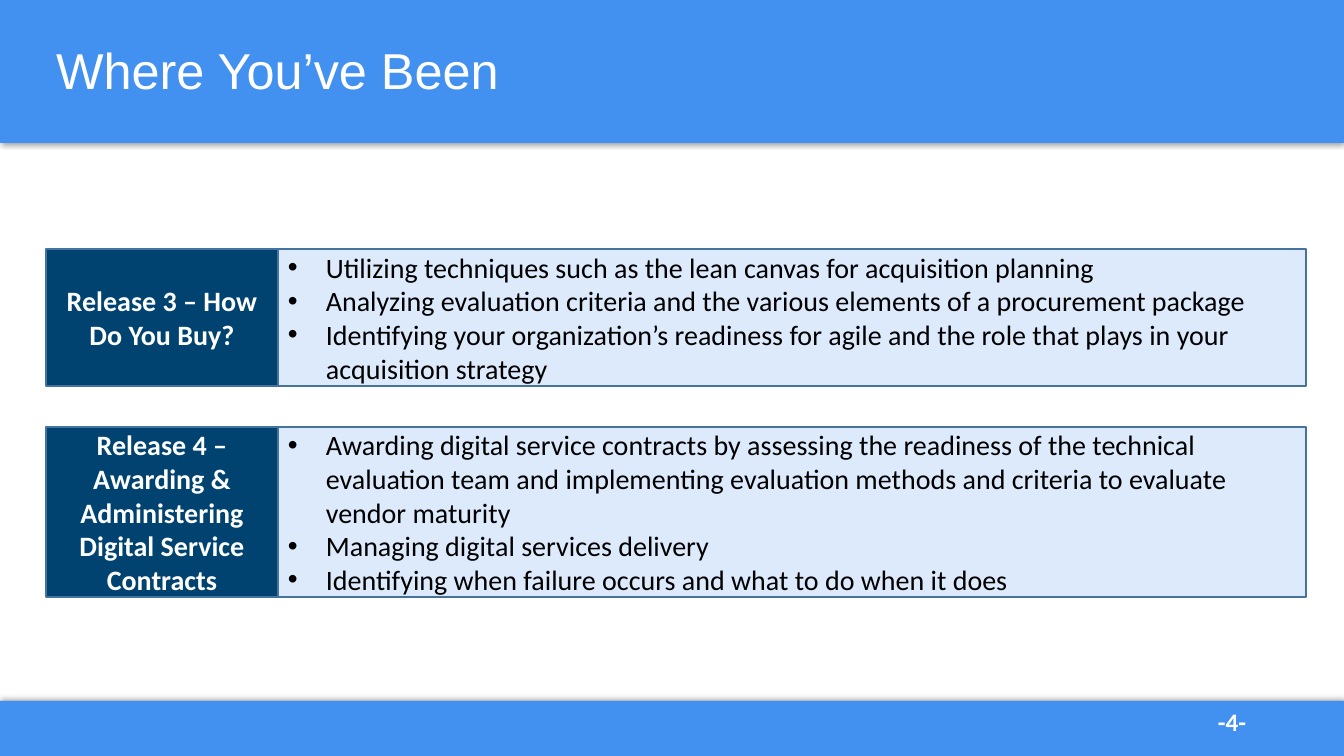
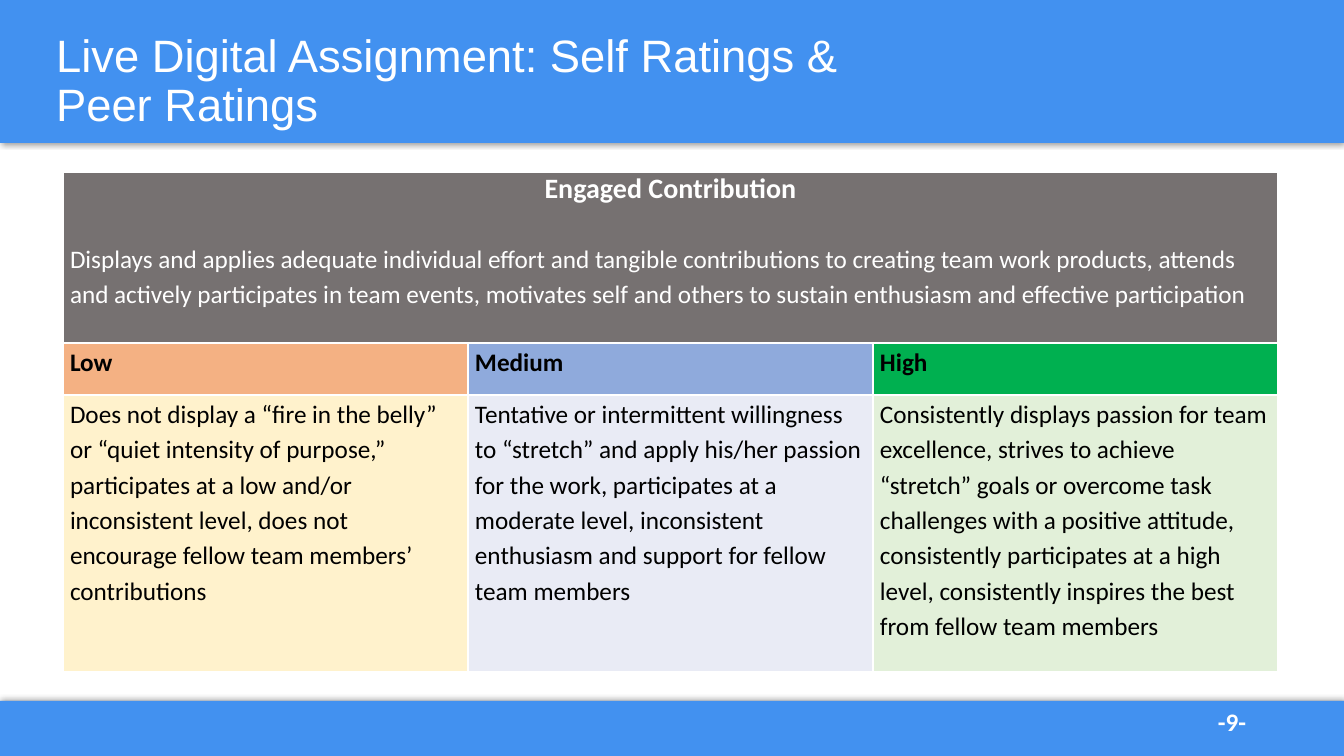
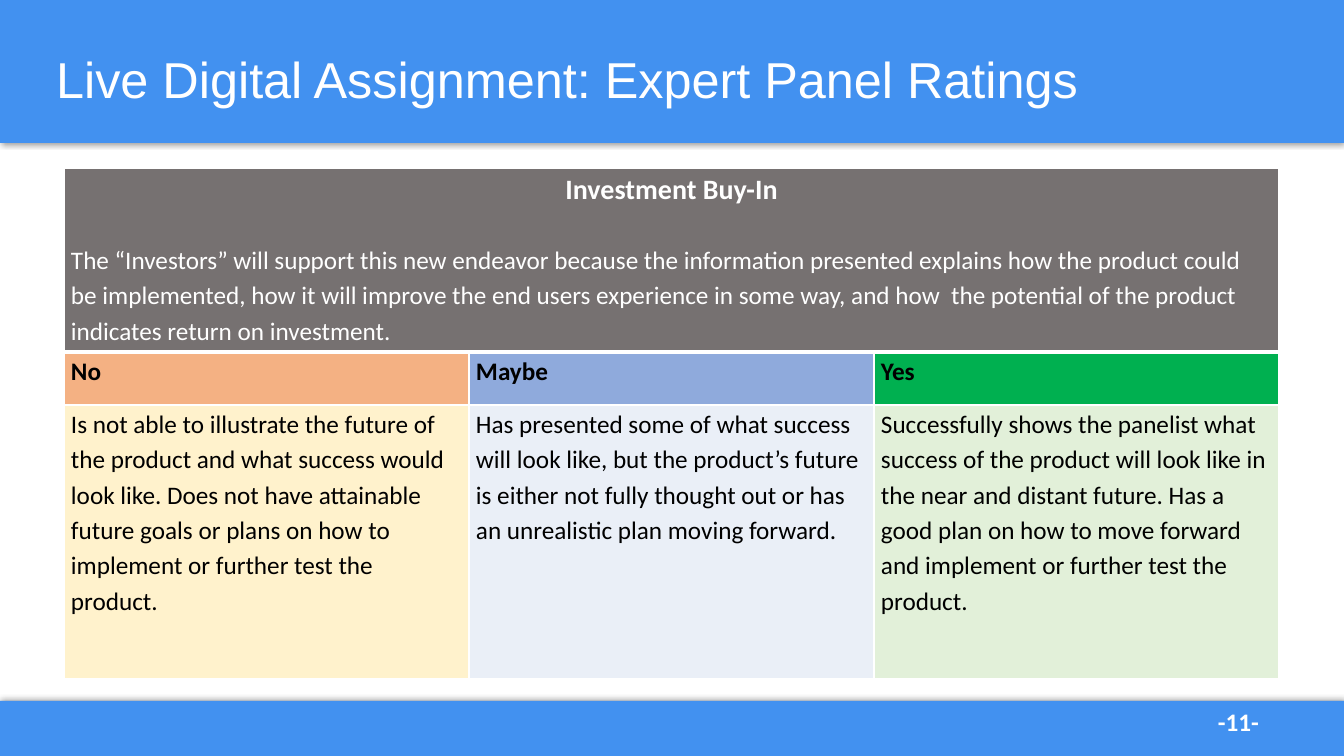
"""Builds three course slides: a recap of releases and two rating rubrics."""
from lxml import etree
from pptx import Presentation
from pptx import util as u
from pptx.dml.color import RGBColor
from pptx.enum import shapes, text
from pptx.oxml import parse_xml
from pptx.oxml.ns import nsdecls, qn

COLORS = {
    "band": "4291F0", "white": "FFFFFF", "black": "000000",
    "navy": "004370", "pale": "DCEAFC", "edge": "43739E",
    "gray": "767171", "orange": "F4B183", "blue": "8FAADC", "green": "00B050",
    "cream": "FFF2CC", "lavender": "E9EBF5", "ice": "EAEFF7", "mint": "E2F0D9",
}
LEVEL_FILLS = ["orange", "blue", "green"]
SLIDE_W, SLIDE_H = 1344, 756
MIDDLE, TOP = text.MSO_ANCHOR.MIDDLE, text.MSO_ANCHOR.TOP
LEFT, CENTER = text.PP_ALIGN.LEFT, text.PP_ALIGN.CENTER


def px(n):
    return u.Emu(round(n * 914400 / 100.8))


def rgb(name):
    return RGBColor.from_string(COLORS[name])


def style(p, size, color, bold=False, font="Calibri", align=LEFT, spacing=None):
    p.alignment = align
    if spacing:
        p.line_spacing = spacing
    for r in p.runs:
        r.font.size, r.font.bold, r.font.name = u.Pt(size), bold, font
        r.font.color.rgb = rgb(color)


def add_rect(s, x, y, w, h, fill, line=None):
    sp = s.shapes.add_shape(shapes.MSO_SHAPE.RECTANGLE, px(x), px(y), px(w), px(h))
    sp.shadow.inherit = False
    sp.fill.solid()
    sp.fill.fore_color.rgb = rgb(fill)
    if line:
        sp.line.color.rgb = rgb(line)
        sp.line.width = u.Pt(1)
    else:
        sp.line.fill.background()
    return sp


def add_band(s, y, h, angle):
    sp = add_rect(s, 0, y, SLIDE_W, h, "band")
    effects = sp.element.spPr.find(qn("a:effectLst"))
    effects.append(parse_xml(
        f'<a:outerShdw {nsdecls("a")} blurRad="{u.Pt(4)}" dist="{u.Pt(1)}" '
        f'dir="{angle * 60000}" algn="t" rotWithShape="0">'
        f'<a:srgbClr val="{COLORS["black"]}"><a:alpha val="40000"/></a:srgbClr>'
        '</a:outerShdw>'))
    s.shapes.element.insert(2, sp.element)


def add_slide(prs, title, number, box, size=36):
    s = prs.slides.add_slide(prs.slide_layouts[5])
    add_band(s, 0, 143, 90)
    add_band(s, 701, 55, 270)
    sp = s.shapes.title
    sp.left, sp.top, sp.width, sp.height = map(px, box)
    tf = sp.text_frame
    tf.text = title
    tf.auto_size = text.MSO_AUTO_SIZE.NONE
    tf.vertical_anchor = MIDDLE
    style(tf.paragraphs[0], size, "white", font="Arial", spacing=0.9)
    tf = s.shapes.add_textbox(px(1208), px(701), px(99), px(40)).text_frame
    tf.word_wrap = True
    tf.text = f"-{number}-"
    style(tf.paragraphs[0], 18, "white", bold=True)
    return s


def add_bullet(p, indent):
    pPr = p._p.get_or_add_pPr()
    pPr.set("marL", str(px(indent)))
    pPr.set("indent", str(-px(indent)))
    etree.SubElement(pPr, qn("a:buFont")).set("typeface", "Arial")
    etree.SubElement(pPr, qn("a:buChar")).set("char", "•")


def add_release(s, y, h, label, points):
    tf = add_rect(s, 278, y, 1028, h, "pale", "edge").text_frame
    tf.word_wrap, tf.vertical_anchor = True, MIDDLE
    tf.text = "\n".join(points)
    for p in tf.paragraphs:
        add_bullet(p, 38)
        style(p, 20, "black")
    tf = add_rect(s, 46, y, 232, h, "navy", "edge").text_frame
    tf.word_wrap, tf.vertical_anchor = True, MIDDLE
    tf.text = label
    style(tf.paragraphs[0], 20, "white", bold=True, align=CENTER)


def set_borders(cell, **widths):
    tcPr = cell._tc.get_or_add_tcPr()
    for i, side in enumerate("LRTB"):
        tcPr.insert(i, parse_xml(
            f'<a:ln{side} {nsdecls("a")} w="{u.Pt(widths.get(side, 1))}"><a:solidFill>'
            f'<a:srgbClr val="{COLORS["white"]}"/></a:solidFill></a:ln{side}>'))


def fill_cell(cell, content, fill):
    cell.fill.solid()
    cell.fill.fore_color.rgb = rgb(fill)
    cell.margin_left = cell.margin_right = px(7)
    cell.margin_top = cell.margin_bottom = 0
    cell.vertical_anchor = TOP
    cell.text = content
    return cell.text_frame.paragraphs


def add_rubric(s, x, y, heights, heading, summary, levels, details, detail_fills,
               heading_spacing=None, rule=1):
    frame = s.shapes.add_table(3, 3, px(x), px(y), px(1215), px(sum(heights)))
    table = frame.table
    for column in table.columns:
        column.width = px(405)
    for row, h in zip(table.rows, heights):
        row.height = px(h)
    for col in range(3):
        set_borders(table.cell(0, col), B=rule)
        set_borders(table.cell(1, col), T=rule)
        set_borders(table.cell(2, col))

    head = table.cell(0, 0)
    head.merge(table.cell(0, 2))
    title, body = fill_cell(head, f"{heading}\n{summary}", "gray")
    style(title, 20, "white", bold=True, align=CENTER, spacing=heading_spacing)
    style(body, 18, "white", spacing=1.15)
    title.space_after = body.space_before = body.space_after = u.Pt(12)

    for col in range(3):
        p = fill_cell(table.cell(1, col), levels[col], LEVEL_FILLS[col])[0]
        style(p, 18, "black", bold=True, spacing=1.15)
        p = fill_cell(table.cell(2, col), details[col], detail_fills[col])[0]
        style(p, 18, "black", spacing=1.15)
        p.space_after = u.Pt(12)


def main():
    prs = Presentation()
    prs.slide_width, prs.slide_height = px(SLIDE_W), px(SLIDE_H)

    s = add_slide(prs, "Where You’ve Been", 4, (46, 0, 1092, 146))
    add_release(s, 249, 137, "Release 3 – How Do You Buy?", [
        "Utilizing techniques such as the lean canvas for acquisition planning",
        "Analyzing evaluation criteria and the various elements of a procurement package",
        "Identifying your organization’s readiness for agile and the role that plays "
        "in your acquisition strategy",
    ])
    add_release(s, 427, 170, "Release 4 – Awarding & Administering Digital Service Contracts", [
        "Awarding digital service contracts by assessing the readiness of the technical "
        "evaluation team and implementing evaluation methods and criteria to evaluate "
        "vendor maturity",
        "Managing digital services delivery",
        "Identifying when failure occurs and what to do when it does",
    ])

    rating_title = (46, 30, 1252, 105)
    s = add_slide(prs, "Live Digital Assignment: Self Ratings &\vPeer Ratings", 9,
                  rating_title, size=32.4)
    add_rubric(
        s, 63, 172, (171, 52, 277), "Engaged Contribution",
        "Displays and applies adequate individual effort and tangible contributions to "
        "creating team work products, attends and actively participates in team events, "
        "motivates self and others to sustain enthusiasm and effective participation",
        ["Low", "Medium", "High"],
        ["Does not display a “fire in the belly” or “quiet intensity of purpose,” "
         "participates at a low and/or inconsistent level, does not encourage fellow "
         "team members’ contributions",
         "Tentative or intermittent willingness to “stretch” and apply his/her passion "
         "for the work, participates at a moderate level, inconsistent enthusiasm and "
         "support for fellow team members",
         "Consistently displays passion for team excellence, strives to achieve “stretch” "
         "goals or overcome task challenges with a positive attitude, consistently "
         "participates at a high level, consistently inspires the best from fellow "
         "team members"],
        ["cream", "lavender", "mint"])

    s = add_slide(prs, "Live Digital Assignment: Expert Panel Ratings", 11, rating_title)
    add_rubric(
        s, 64, 168, (184, 53, 274), "Investment Buy-In",
        "The “Investors” will support this new endeavor because the information presented "
        "explains how the product could be implemented, how it will improve the end users "
        "experience in some way, and how  the potential of the product indicates return "
        "on investment.",
        ["No", "Maybe", "Yes"],
        ["Is not able to illustrate the future of the product and what success would look "
         "like. Does not have attainable future goals or plans on how to implement or "
         "further test the product.",
         "Has presented some of what success will look like, but the product’s future is "
         "either not fully thought out or has an unrealistic plan moving forward.",
         "Successfully shows the panelist what success of the product will look like in "
         "the near and distant future. Has a good plan on how to move forward and "
         "implement or further test the product."],
        ["cream", "ice", "mint"], heading_spacing=1.15, rule=3)

    prs.save("out.pptx")


if __name__ == "__main__":
    main()
